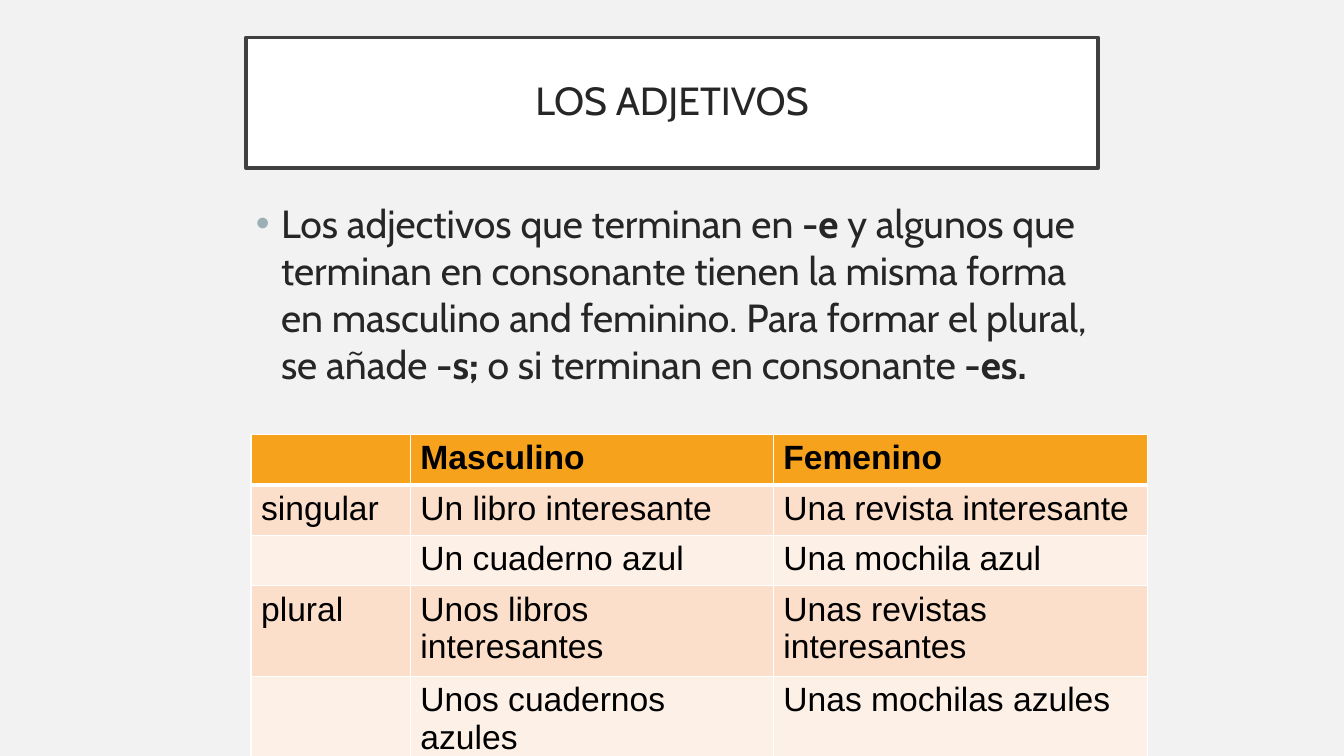
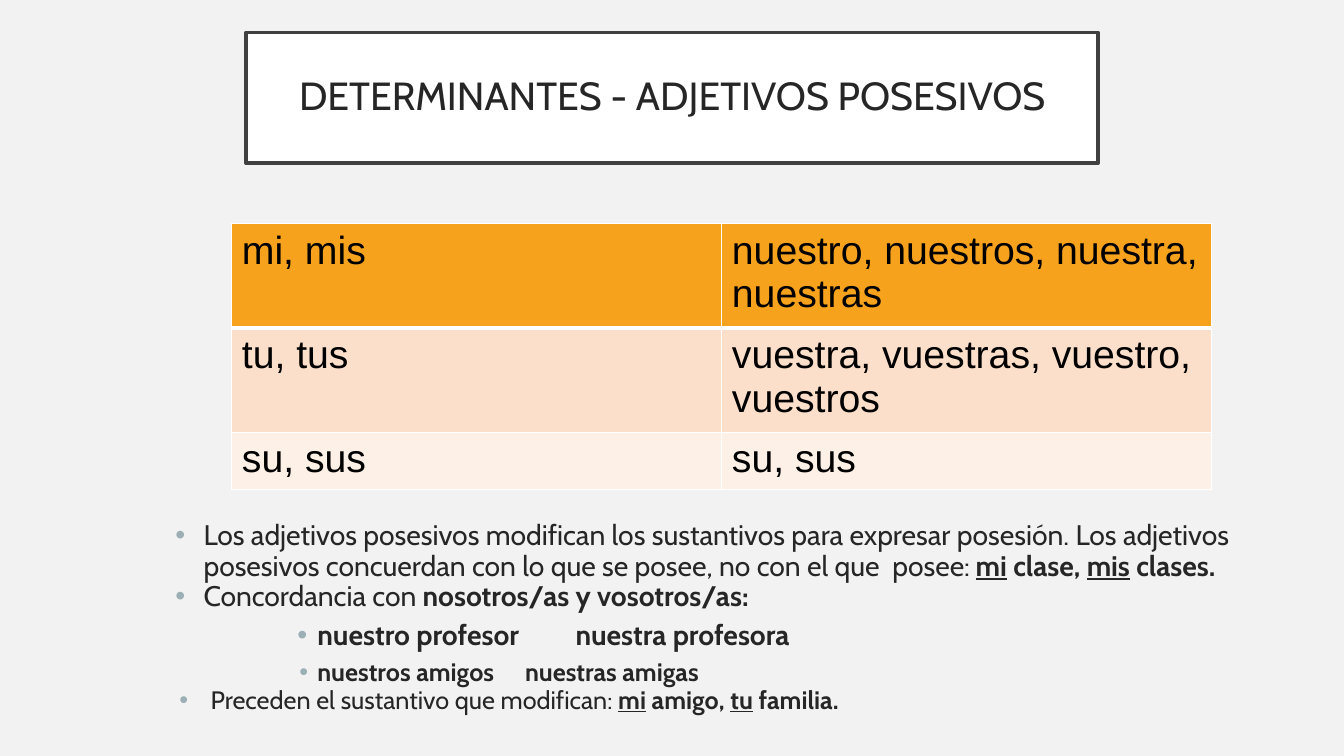
import pptx
import pptx.dml.color
import pptx.enum.shapes
import pptx.enum.text
import pptx.oxml
import pptx.oxml.ns
import pptx.util
import lxml.etree

WIDTH, HEIGHT = 13.33, 7.5
BACK, PAPER, FRAME, INK, BULLET = "F2F2F2", "FFFFFF", "404040", "262626", "9BAFB5"
HEADER, BANDS, CELL_INK = "F6A21D", ("FBDFCB", "FDF0E7"), "000000"
TEXT_FONT, TABLE_FONT = "Cabin", "Arial"
TITLE_LEFT, TITLE_WIDTH, TITLE_HEIGHT = 18.3, 63.4, 17.33


def rgb(value):
    """Return the colour for a hex string."""
    return pptx.dml.color.RGBColor.from_string(value)


def place(box):
    """Turn left, top, width and height in percent of the slide into lengths."""
    sizes = (WIDTH, HEIGHT, WIDTH, HEIGHT)
    return [pptx.util.Inches(share * size / 100) for share, size in zip(box, sizes)]


def style_font(font, name, size, color, bold=None):
    """Set the family, size, colour and weight of a font."""
    font.name, font.size, font.bold = name, pptx.util.Pt(size), bold
    font.color.rgb = rgb(color)


def add_node(parent, tag, **attributes):
    """Append a drawing element and return it."""
    return lxml.etree.SubElement(parent, pptx.oxml.ns.qn("a:" + tag), **attributes)


def add_titled_slide(prs, title, top):
    """Add a slide with its title in a framed white box."""
    slide = prs.slides.add_slide(prs.slide_layouts[5])
    sp = slide.shapes.title
    sp.left, sp.top, sp.width, sp.height = place((TITLE_LEFT, top, TITLE_WIDTH, TITLE_HEIGHT))
    sp.fill.solid()
    sp.fill.fore_color.rgb = rgb(PAPER)
    sp.line.color.rgb = rgb(FRAME)
    sp.line.width = pptx.util.Pt(2.5)
    tf = sp.text_frame
    tf.text = title
    tf.word_wrap = True
    tf.auto_size = pptx.enum.text.MSO_AUTO_SIZE.NONE
    tf.vertical_anchor = pptx.enum.text.MSO_ANCHOR.MIDDLE
    tf.margin_left = tf.margin_right = tf.margin_top = tf.margin_bottom = pptx.util.Inches(0.2)
    p = tf.paragraphs[0]
    p.alignment = pptx.enum.text.PP_ALIGN.CENTER
    p.line_spacing = 0.9
    style_font(p.font, TEXT_FONT, 28, INK)
    return slide


def add_bullets(slide, box, items, spacing):
    """Add bulleted paragraphs of (size, indent, hang, space before, runs)."""
    tf = slide.shapes.add_textbox(*place(box)).text_frame
    tf.word_wrap = True
    for i, (size, indent, hang, before, runs) in enumerate(items):
        p = tf.add_paragraph() if i else tf.paragraphs[0]
        p.line_spacing = spacing
        p.space_before = pptx.util.Pt(before)
        pPr = p._p.get_or_add_pPr()
        pPr.set("marL", str(pptx.util.Inches(indent)))
        pPr.set("indent", str(-pptx.util.Inches(hang)))
        add_node(add_node(pPr, "buClr"), "srgbClr", val=BULLET)
        add_node(pPr, "buFont", typeface="Arial")
        add_node(pPr, "buChar", char="•")
        style_font(p.font, TEXT_FONT, size, INK)
        for text, marks in runs:
            r = p.add_run()
            r.text = text
            style_font(r.font, TEXT_FONT, size, INK, "b" in marks)
            r.font.underline = "u" in marks


def add_borders(cell, top, bottom):
    """Draw white cell borders with the given top and bottom widths."""
    tcPr = cell._tc.get_or_add_tcPr()
    for side, points in (("L", 1), ("R", 1), ("T", top), ("B", bottom)):
        ln = add_node(tcPr, "ln" + side, w=str(pptx.util.Pt(points)))
        add_node(add_node(ln, "solidFill"), "srgbClr", val=PAPER)


def add_banded_table(slide, box, columns, heights, rows, size, bold_header=False):
    """Add a table with an orange header; columns and heights are relative."""
    left, top, width, height = place(box)
    table = slide.shapes.add_table(len(rows), len(columns), left, top, width, height).table
    for column, share in zip(table.columns, columns):
        column.width = int(width * share / sum(columns))
    for row, share in zip(table.rows, heights):
        row.height = int(height * share / sum(heights))
    for i, texts in enumerate(rows):
        for j, text in enumerate(texts):
            cell = table.cell(i, j)
            add_borders(cell, 3 if i == 1 else 1, 3 if i == 0 else 1)
            cell.fill.solid()
            cell.fill.fore_color.rgb = rgb(BANDS[(i - 1) % 2] if i else HEADER)
            cell.text = text
            p = cell.text_frame.paragraphs[0]
            for font in [p.font] + [r.font for r in p.runs]:
                style_font(font, TABLE_FONT, size, CELL_INK, bold_header and i == 0)


def build_adjectives(prs):
    """Build the slide on adjectives with one form for both genders."""
    slide = add_titled_slide(prs, "LOS ADJETIVOS", 4.93)
    runs = [
        ("Los adjectivos que terminan en ", ""),
        ("-e ", "b"),
        ("y algunos que terminan en consonante tienen la misma forma en masculino "
         "and feminino. Para formar el plural, se añade ", ""),
        ("-s; ", "b"),
        ("o si terminan en consonante ", ""),
        ("-es.", "b"),
    ]
    add_bullets(slide, (TITLE_LEFT, 25.73, TITLE_WIDTH, 56.13), [(28, 0.25, 0.25, 0, runs)], 1.0)
    rows = [
        ("", "Masculino", "Femenino"),
        ("singular", "Un libro interesante", "Una revista interesante"),
        ("", "Un cuaderno azul", "Una mochila azul"),
        ("plural", "Unos libros interesantes", "Unas revistas interesantes"),
        ("", "Unos cuadernos azules", "Unas mochilas azules"),
    ]
    add_banded_table(slide, (18.68, 57.47, 66.69, 41.2), (1.58, 3.6, 3.71),
                     (0.47, 0.47, 0.47, 0.84, 0.84), rows, 24, bold_header=True)


def build_possessives(prs):
    """Build the slide on possessive adjectives."""
    slide = add_titled_slide(prs, "DETERMINANTES - ADJETIVOS POSESIVOS", 4.27)
    items = [
        (20.2, 0.31, 0.28, 0, [
            ("Los adjetivos posesivos modifican los sustantivos para expresar posesión. "
             "Los adjetivos posesivos concuerdan con lo que se posee, no con el que  posee: ", ""),
            ("mi", "bu"), (" clase, ", "b"), ("mis", "bu"), (" clases.", "b")]),
        (20.2, 0.31, 0.28, 0, [("Concordancia con ", ""), ("nosotros/as y vosotros/as:", "b")]),
        (20.2, 1.44, 0.2, 6, [("nuestro profesor \tnuestra profesora", "b")]),
        (18, 1.44, 0.18, 6, [("nuestros amigos \tnuestras amigas", "b")]),
        (18, 0.38, 0.31, 0, [
            ("Preceden el sustantivo que modifican: ", ""),
            ("mi", "bu"), (" amigo, ", "b"), ("tu", "bu"), (" familia.", "b")]),
    ]
    add_bullets(slide, (12.08, 68.27, 81.85, 28.8), items, 0.9)
    rows = [
        ("mi, mis", "nuestro, nuestros, nuestra, nuestras"),
        ("tu, tus", "vuestra, vuestras, vuestro, vuestros"),
        ("su, sus", "su, sus"),
    ]
    add_banded_table(slide, (17.25, 29.6, 72.92, 32.93), (1, 1), (0.97, 0.96, 0.54), rows, 28)


def main():
    """Build and save the presentation."""
    prs = pptx.Presentation()
    prs.slide_width = pptx.util.Inches(WIDTH)
    prs.slide_height = pptx.util.Inches(HEIGHT)
    fill = prs.slide_master.background.fill
    fill.solid()
    fill.fore_color.rgb = rgb(BACK)
    build_adjectives(prs)
    build_possessives(prs)
    prs.save("out.pptx")


if __name__ == "__main__":
    main()
